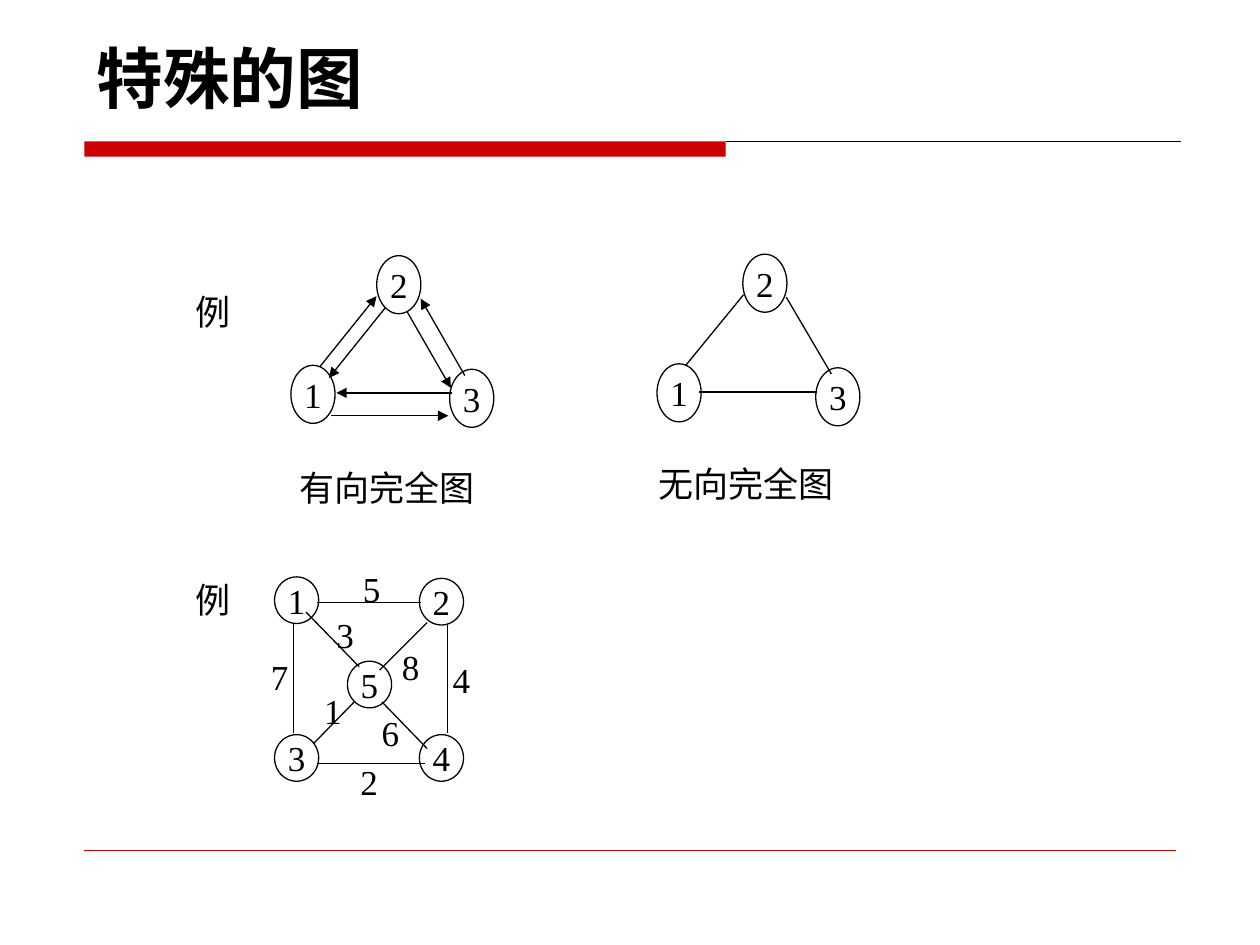
"""Build the slide on special graphs: complete graphs and a weighted graph."""
from typing import NamedTuple

from pptx import Presentation
from pptx.dml.color import RGBColor
from pptx.enum import shapes, text
from pptx.oxml import ns, xmlchemy
from pptx.util import Cm, Pt

BLACK = RGBColor(0x00, 0x00, 0x00)
RED = RGBColor(0xCC, 0x00, 0x00)
NODE_WIDTH = 0.89


class Label(NamedTuple):
    words: str
    x: float
    y: float
    width: float = 0.86
    align: text.PP_ALIGN = text.PP_ALIGN.CENTER
    anchor: text.MSO_ANCHOR = text.MSO_ANCHOR.MIDDLE


class Node(NamedTuple):
    number: str
    x: float
    y: float


class Edge(NamedTuple):
    x1: float
    y1: float
    x2: float
    y2: float


TRIANGLE = [Node("2", 8.04, 5.74), Node("1", 6.31, 7.95), Node("3", 9.51, 8.03)]
UNDIRECTED_SHIFT = (7.38, -0.03)
ARCS = [
    Edge(6.68, 8.38, 9.04, 8.38),
    Edge(9.12, 7.92, 6.78, 7.92),
    Edge(6.45, 7.39, 7.59, 5.97),
    Edge(7.77, 6.2, 6.63, 7.62),
    Edge(8.2, 6.27, 9.09, 7.82),
    Edge(9.37, 7.57, 8.48, 6.02),
]
UNDIRECTED_EDGES = [
    Edge(14.1, 7.9, 16.46, 7.9),
    Edge(13.82, 7.37, 14.99, 5.94),
    Edge(15.85, 5.99, 16.76, 7.54),
]
WEIGHTED_NODES = [
    Node("1", 5.98, 12.1),
    Node("4", 8.9, 15.28),
    Node("5", 7.45, 13.8),
    Node("2", 8.9, 12.13),
    Node("3", 5.98, 15.28),
]
WEIGHTED_EDGES = [
    (Edge(6.4, 12.14, 8.48, 12.14), Label("5", 7.49, 11.86)),
    (Edge(5.92, 12.57, 5.92, 14.78), Label("7", 5.64, 13.64)),
    (Edge(9.02, 12.57, 9.02, 14.78), Label("4", 9.3, 13.69)),
    (Edge(7.7, 14.15, 8.61, 15.09), Label("6", 7.87, 14.76)),
    (Edge(8.61, 12.55, 7.65, 13.51), Label("8", 8.28, 13.44)),
    (Edge(7.14, 14.15, 6.32, 14.99), Label("1", 6.71, 14.33)),
    (Edge(6.4, 15.39, 8.56, 15.39), Label("2", 7.44, 15.75)),
    (Edge(6.17, 12.34, 7.24, 13.44), Label("3", 6.96, 12.8)),
]
CAPTION_STYLE = (4.04, text.PP_ALIGN.LEFT, text.MSO_ANCHOR.TOP)
CAPTIONS = [
    Label("例", 4.29, 6.27, 1.22),
    Label("例", 4.29, 12.09, 1.22),
    Label("有向完全图", 7.81, 9.83, *CAPTION_STYLE),
    Label("无向完全图", 15.05, 9.75, *CAPTION_STYLE),
]


def write(frame, words: str, *, size: int = 20, font: str = "Times New Roman",
          bold: bool = False, align=text.PP_ALIGN.CENTER,
          anchor=text.MSO_ANCHOR.MIDDLE, wrap: bool = False,
          fit=text.MSO_AUTO_SIZE.NONE) -> None:
    frame.word_wrap = wrap
    frame.auto_size = fit
    frame.vertical_anchor = anchor
    frame.margin_left = frame.margin_right = Cm(0.25)
    frame.margin_top = frame.margin_bottom = Cm(0.13)
    paragraph = frame.paragraphs[0]
    paragraph.alignment = align
    run = paragraph.add_run()
    run.text = words
    run.font.size = Pt(size)
    run.font.name = font
    run.font.bold = bold
    run.font.color.rgb = BLACK


def draw_label(slide, label: Label) -> None:
    height = 1.12
    box = slide.shapes.add_textbox(
        Cm(label.x - label.width / 2), Cm(label.y - height / 2), Cm(label.width), Cm(height))
    write(box.text_frame, label.words, align=label.align, anchor=label.anchor,
          fit=text.MSO_AUTO_SIZE.SHAPE_TO_FIT_TEXT)


def draw_node(slide, node: Node, height: float, shift: tuple[float, float] = (0, 0)) -> None:
    left = node.x + shift[0] - NODE_WIDTH / 2
    top = node.y + shift[1] - height / 2
    oval = slide.shapes.add_shape(
        shapes.MSO_SHAPE.OVAL, Cm(left), Cm(top), Cm(NODE_WIDTH), Cm(height))
    oval.shadow.inherit = False
    oval.fill.background()
    oval.line.color.rgb = BLACK
    oval.line.width = Pt(0.75)
    write(oval.text_frame, node.number)


def draw_edge(slide, edge: Edge, *, color: RGBColor = BLACK, width: float = 0.75,
              arrow: bool = False) -> None:
    line = slide.shapes.add_connector(shapes.MSO_CONNECTOR.STRAIGHT, *map(Cm, edge))
    line.line.color.rgb = color
    line.line.width = Pt(width)
    if arrow:
        tail = xmlchemy.OxmlElement("a:tailEnd")
        tail.set("type", "triangle")
        line.line._get_or_add_ln().append(tail)
    line._element.find(ns.qn("p:spPr")).append(xmlchemy.OxmlElement("a:effectLst"))


def draw_frame(slide) -> None:
    bar = slide.shapes.add_shape(
        shapes.MSO_SHAPE.RECTANGLE, Cm(1.7), Cm(2.85), Cm(12.93), Cm(0.31))
    bar.shadow.inherit = False
    bar.fill.solid()
    bar.fill.fore_color.rgb = RED
    bar.line.fill.background()
    draw_edge(slide, Edge(14.63, 2.86, 23.8, 2.86), width=0.5)
    draw_edge(slide, Edge(1.7, 17.14, 23.7, 17.14), color=RED, width=0.25)


def draw_title(slide) -> None:
    title = slide.shapes.title
    title.left, title.top, title.width, title.height = map(Cm, (1.7, 0.3, 16.66, 2.18))
    write(title.text_frame, "特殊的图", size=38, font="DejaVu Sans", bold=True,
          align=text.PP_ALIGN.LEFT, anchor=text.MSO_ANCHOR.BOTTOM, wrap=True)


def main() -> None:
    deck = Presentation()
    deck.slide_width, deck.slide_height = Cm(25.4), Cm(19.05)
    slide = deck.slides.add_slide(deck.slide_layouts[5])
    draw_frame(slide)
    draw_title(slide)
    for node in TRIANGLE:
        draw_node(slide, node, 1.17)
        draw_node(slide, node, 1.17, UNDIRECTED_SHIFT)
    for arc in ARCS:
        draw_edge(slide, arc, arrow=True)
    for edge in UNDIRECTED_EDGES:
        draw_edge(slide, edge)
    for node in WEIGHTED_NODES:
        draw_node(slide, node, 0.94)
    for edge, weight in WEIGHTED_EDGES:
        draw_edge(slide, edge)
        draw_label(slide, weight)
    for caption in CAPTIONS:
        draw_label(slide, caption)
    deck.save("out.pptx")


if __name__ == "__main__":
    main()
